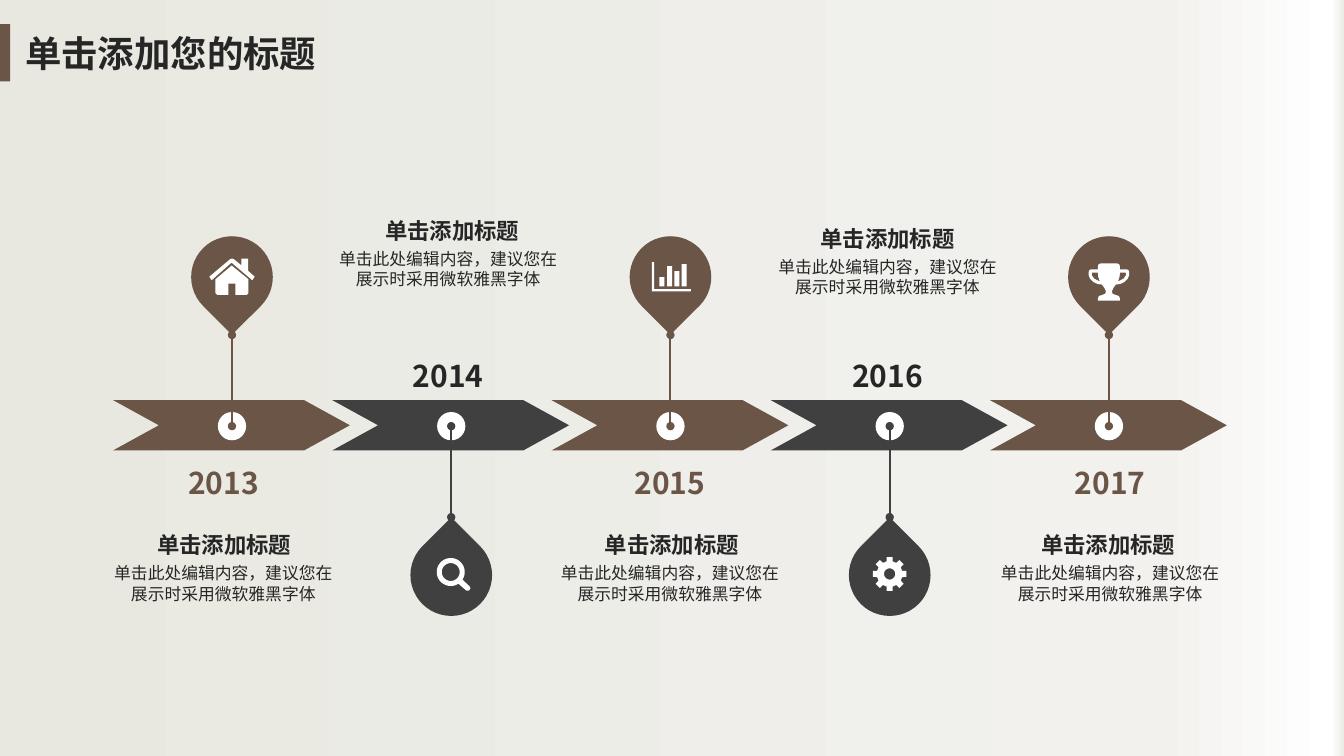
from math import cos, radians, sin

from lxml import etree
from pptx import Presentation
from pptx.dml.color import RGBColor
from pptx.enum.shapes import MSO_CONNECTOR, MSO_SHAPE
from pptx.enum.text import MSO_ANCHOR, PP_ALIGN
from pptx.oxml.ns import qn
from pptx.util import Pt

RECTANGLE, ELLIPSE = MSO_SHAPE.RECTANGLE, MSO_SHAPE.OVAL
ARROW, TEARDROP = MSO_SHAPE.NOTCHED_RIGHT_ARROW, MSO_SHAPE.TEAR
STRAIGHT = MSO_CONNECTOR.STRAIGHT
LEFT, CENTER = PP_ALIGN.LEFT, PP_ALIGN.CENTER
TOP, MIDDLE = MSO_ANCHOR.TOP, MSO_ANCHOR.MIDDLE

# Content
FONT = "Noto Sans CJK SC"
COLORS = {"brown": "6A5546", "gray": "404040", "ink": "262626", "white": "FFFFFF"}
BACKGROUND_STOPS = [(0, "E8E8E1"), (86, "F2F1EE"), (99, "FFFFFF"), (100, "EBEBE5")]
TITLE = "单击添加您的标题"
HEADING = "单击添加标题"
BODY = "单击此处编辑内容，建议您在展示时采用微软雅黑字体"
# year, icon, pin above the arrow, text centre, heading centre, heading top
MILESTONES = [
    ("2013", "house", True, 159.6, 160.2, 379.4),
    ("2014", "magnifier", False, 320.2, 322.9, 154.8),
    ("2015", "chart", True, 478.6, 479.9, 379.4),
    ("2016", "gear", False, 634, 634, 160.6),
    ("2017", "trophy", True, 793, 791.6, 379.4),
]
FORMATS = {
    "title": {"size": Pt(26), "bold": True},
    "year": {"size": Pt(21.4), "bold": True},
    "heading": {"size": Pt(16), "bold": True},
    "body": {"size": Pt(12), "bold": False},
}

# Layout in points
SLIDE_WIDTH, SLIDE_HEIGHT = 960, 540
ARROW_LEFT, ARROW_PITCH, ARROW_TOP = 80.7, 156.6, 285.8
ARROW_WIDTH, ARROW_HEIGHT = 169.2, 36
HUB_OFFSET, HUB_SIZE, HUB_Y = 85, 20.2, 304.4
PIN_SIZE = 58.3
# pin centre, pin tip, rotation, year top
ABOVE = (197.9, 239.3, 135, 331.9)
BELOW = (410.8, 369.4, 315, 255.6)


# Icon outlines
def arc(radius, start=0, end=360, step=10):
    return [(radius * cos(radians(a)), radius * sin(radians(a)))
            for a in range(start, end + 1, step)]


def box(left, top, right, bottom):
    return [(left, top), (right, top), (right, bottom), (left, bottom)]


def mirrored(points, axis):
    return [(2 * axis - x, y) for x, y in reversed(points)]


CUP_AXIS = 14.4
CUP_SIDE = [(8.5, 0), (7.1, .6), (6.5, 2), (6.5, 4.3), (1.4, 4.3), (.4, 4.8), (0, 6),
            (0, 8.6), (1, 11), (3.5, 13.4), (6.3, 14.7), (9.4, 15.1), (11.2, 17.5),
            (12.3, 20), (11.8, 21.6), (10.3, 22.3), (7.3, 23.3), (6.5, 25), (6.5, 26.6)]
CUP_HANDLE = [(6.5, 6.5), (2.3, 6.5), (2.3, 8.6), (4, 11), (7.9, 12.9), (6.8, 9.5)]
GEAR_TEETH = [(radius * cos(radians(45 * tooth + angle)), radius * sin(radians(45 * tooth + angle)))
              for tooth in range(8)
              for angle, radius in ((-14, 9.2), (-10, 12.2), (10, 12.2), (14, 9.2))]
CHART_BARS = [(5.4, 10.8), (10.9, 2.9), (16.1, 6.5), (21.3, 1.4)]

# offset from the pin centre, contours
ICONS = {
    "house": ((-16.2, -13.2), [
        [(30.7, 15.5), (15.9, 2.9), (1.7, 15.5), (0, 13), (14.8, .5), (16.2, 0), (17.6, .5),
         (22.9, 4.8), (22.9, 0), (27.7, 0), (27.7, 8.7), (32.4, 13)],
        [(28, 24.7), (26.8, 25.9), (18.7, 25.9), (18.7, 18), (13.7, 18), (13.7, 25.9),
         (5.6, 25.9), (4.4, 24.7), (4.4, 14.8), (16, 5), (28, 14.8)]]),
    "chart": ((-13.3, -10.7), [
        [(0, 0), (1.7, 0), (1.7, 19.3), (28, 19.3), (28, 20.9), (0, 20.9)],
        *[box(left, top, left + 3.6, 17.3) for left, top in CHART_BARS]]),
    "trophy": ((-CUP_AXIS, -9.7), [
        CUP_SIDE + mirrored(CUP_SIDE, CUP_AXIS),
        CUP_HANDLE, mirrored(CUP_HANDLE, CUP_AXIS)]),
    "gear": ((0, -.8), [GEAR_TEETH, arc(4)]),
    "magnifier": ((-.3, -2.2), [
        arc(10, 57, 393, 8) + [(13.7, 10.5), (14, 12), (13, 13.2), (11.2, 13.3)],
        arc(6.4)]),
}

presentation = Presentation()
presentation.slide_width, presentation.slide_height = Pt(SLIDE_WIDTH), Pt(SLIDE_HEIGHT)
slide = presentation.slides.add_slide(presentation.slide_layouts[6])
shapes = slide.shapes


def paint(shape, color):
    shape.shadow.inherit = False
    shape.fill.solid()
    shape.fill.fore_color.rgb = RGBColor.from_string(COLORS[color])
    shape.line.fill.background()


def add_block(kind, left, top, width, height, color):
    shape = shapes.add_shape(kind, Pt(left), Pt(top), Pt(width), Pt(height))
    paint(shape, color)
    return shape


def add_text(text, style, left, top, width, height, color="ink", align=CENTER,
             anchor=TOP, wrap=False, margins=(0, 0)):
    frame = shapes.add_textbox(Pt(left), Pt(top), Pt(width), Pt(height)).text_frame
    side, edge = margins
    settings = {"word_wrap": wrap, "vertical_anchor": anchor,
                "margin_left": Pt(side), "margin_right": Pt(side),
                "margin_top": Pt(edge), "margin_bottom": Pt(edge)}
    for name, value in settings.items():
        setattr(frame, name, value)
    paragraph = frame.paragraphs[0]
    paragraph.alignment = align
    run = paragraph.add_run()
    run.text = text
    for name, value in {"name": FONT, **FORMATS[style]}.items():
        setattr(run.font, name, value)
    run.font.color.rgb = RGBColor.from_string(COLORS[color])
    etree.SubElement(run.font._element, qn("a:ea"), typeface=FONT)


def add_stem(x, start, end, color):
    connector = shapes.add_connector(STRAIGHT, Pt(x), Pt(start), Pt(x), Pt(end))
    connector.line.width = Pt(1.5)
    connector.line.color.rgb = RGBColor.from_string(COLORS[color])
    properties = connector.element.spPr
    for tag in ("a:headEnd", "a:tailEnd"):
        etree.SubElement(properties.find(qn("a:ln")), qn(tag), type="oval")
    etree.SubElement(properties, qn("a:effectLst"))


def add_icon(name, x, y):
    (shift_x, shift_y), contours = ICONS[name]
    contours = [[(Pt(px), Pt(py)) for px, py in contour] for contour in contours]
    builder = shapes.build_freeform(*contours[0][0])
    for index, contour in enumerate(contours):
        if index:
            builder.move_to(*contour[0])
        builder.add_line_segments(contour[1:], close=True)
    paint(builder.convert_to_shape(Pt(x + shift_x), Pt(y + shift_y)), "white")


# Background, title bar and title
background = add_block(RECTANGLE, 0, 0, SLIDE_WIDTH, SLIDE_HEIGHT, "white")
background.fill.gradient()
background.fill.gradient_angle = 0
stops = background.element.spPr.find(qn("a:gradFill")).find(qn("a:gsLst"))
for stop in list(stops):
    stops.remove(stop)
for position, value in BACKGROUND_STOPS:
    stop = etree.SubElement(stops, qn("a:gs"), pos=str(position * 1000))
    etree.SubElement(stop, qn("a:srgbClr"), val=value)
add_block(RECTANGLE, 0, 17.2, 7.3, 41, "brown")
add_text(TITLE, "title", 10.8, 18.7, 281.5, 38.9, align=LEFT, wrap=True, margins=(7.2, 3.6))

# Timeline
for index, (year, icon, above, text_x, heading_x, text_top) in enumerate(MILESTONES):
    color = "brown" if above else "gray"
    pin_y, tip_y, rotation, year_top = ABOVE if above else BELOW
    left = ARROW_LEFT + index * ARROW_PITCH
    hub_x = left + HUB_OFFSET

    arrow = add_block(ARROW, left, ARROW_TOP, ARROW_WIDTH, ARROW_HEIGHT, color)
    arrow.adjustments[0], arrow.adjustments[1] = 1, .91
    add_block(ELLIPSE, hub_x - HUB_SIZE / 2, HUB_Y - HUB_SIZE / 2, HUB_SIZE, HUB_SIZE, "white")
    add_stem(hub_x, tip_y, HUB_Y, color)
    pin = add_block(TEARDROP, hub_x - PIN_SIZE / 2, pin_y - PIN_SIZE / 2, PIN_SIZE, PIN_SIZE, color)
    pin.rotation = rotation
    add_icon(icon, hub_x, pin_y)

    add_text(year, "year", text_x - 26.3, year_top, 52.6, 25.9,
             color="brown" if above else "ink", anchor=MIDDLE)
    add_text(HEADING, "heading", heading_x - 48.6, text_top, 97.2, 19.4)
    add_text(BODY, "body", text_x - 79.2, text_top + 22.9, 158.4, 28.8, wrap=True)

presentation.save("out.pptx")
